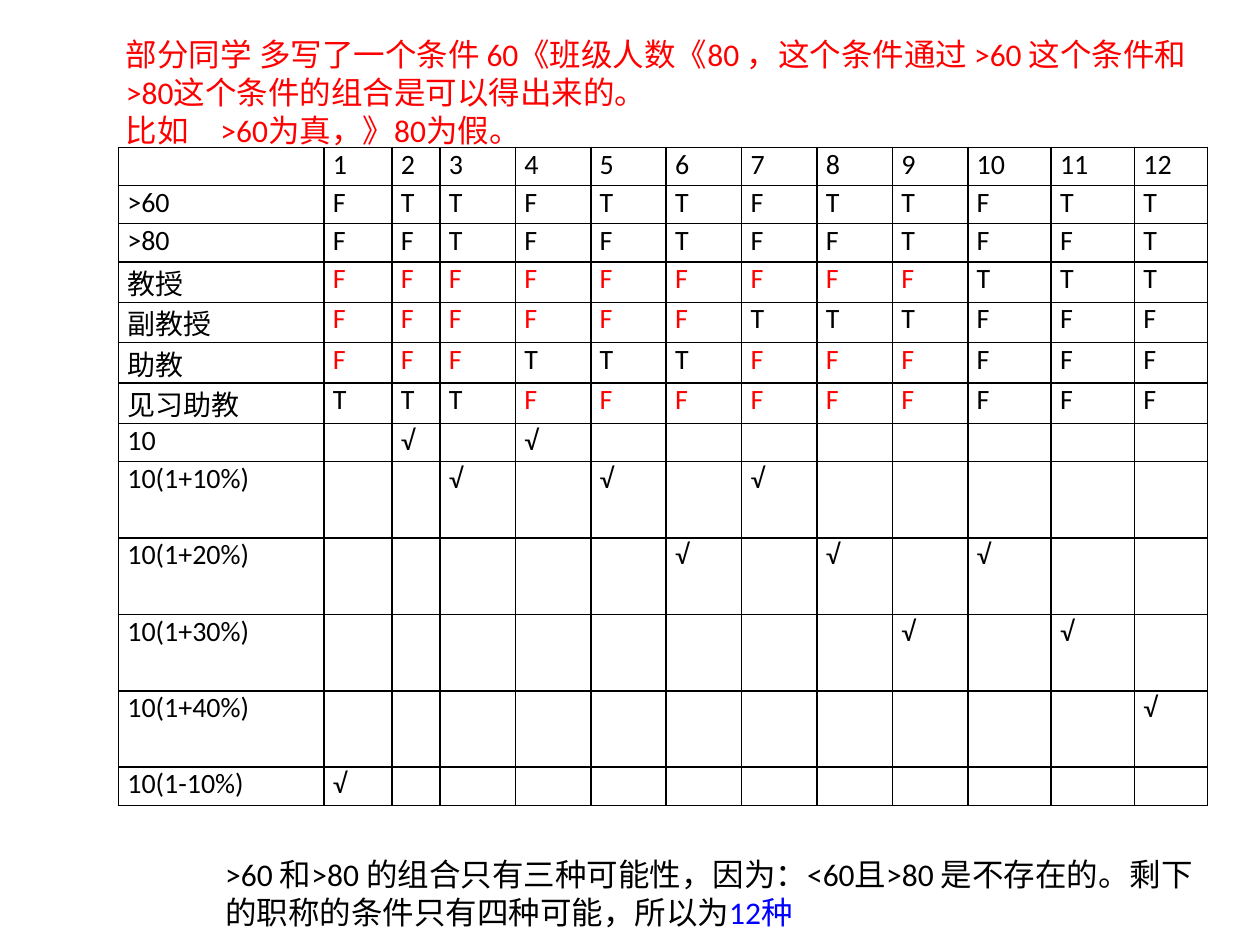
from dataclasses import dataclass

import lxml.etree
import pptx
import pptx.dml.color
import pptx.enum.text
import pptx.oxml.ns
import pptx.util
from pptx.util import Cm

RGB = pptx.dml.color.RGBColor
BLACK = RGB(0x00, 0x00, 0x00)
RED = RGB(0xFF, 0x00, 0x00)
BLUE = RGB(0x00, 0x00, 0xFF)
FONT = "Calibri"
RULES = 12
MARKED_RULES = 9  # exclusive titles are marked red up to this rule
COLUMN_CM = [4.14, 1.37, 0.97] + [1.52] * 7 + [1.68, 1.68, 1.47]
LOW, HIGH = 0.77, 1.54


@dataclass
class Row:
    label: str
    values: list[str]
    height: float = LOW
    marked: bool = False


@dataclass
class Note:
    left: float
    top: float
    width: float
    height: float
    paragraphs: list[list[tuple[str, RGB]]]


def title_row(label: str, group: int) -> Row:
    """Each academic title is true for one group of three rules."""
    values = ["T" if i // 3 == group else "F" for i in range(RULES)]
    return Row(label, values, marked=True)


def action_row(label: str, rules: set[int], height: float = HIGH) -> Row:
    values = ["√" if i in rules else "" for i in range(1, RULES + 1)]
    return Row(label, values, height)


ROWS = [
    Row("", [str(i) for i in range(1, RULES + 1)]),
    Row(">60", list("FTT" * 4)),
    Row(">80", list("FFT" * 4)),
    title_row("教授", 3),
    title_row("副教授", 2),
    title_row("助教", 1),
    title_row("见习助教", 0),
    action_row("10", {2, 4}, LOW),
    action_row("10(1+10%)", {3, 5, 7}),
    action_row("10(1+20%)", {6, 8, 10}),
    action_row("10(1+30%)", {9, 11}),
    action_row("10(1+40%)", {12}),
    action_row("10(1-10%)", {1}, LOW),
]

NOTES = [
    Note(2.29, 0.58, 22.4, 2.57, [
        [("部分同学 多写了一个条件 60《班级人数《80 ，这个条件通过 >60 这个条件"
          "和>80这个条件的组合是可以得出来的。", RED)],
        [("比如　>60为真，》80为假。", RED)],
    ]),
    Note(4.29, 17.12, 20.19, 1.8, [
        [(">60 和>80 的组合只有三种可能性，因为：<60且>80 是不存在的。"
          "剩下的职称的条件只有四种可能，所以为", BLACK),
         ("12种", BLUE)],
    ]),
]


def add_borders(cell) -> None:
    qn = pptx.oxml.ns.qn
    tc_pr = cell._tc.get_or_add_tcPr()
    for side in ("lnL", "lnR", "lnT", "lnB"):
        ln = lxml.etree.SubElement(tc_pr, qn(f"a:{side}"), w=str(pptx.util.Pt(1)))
        fill = lxml.etree.SubElement(ln, qn("a:solidFill"))
        lxml.etree.SubElement(fill, qn("a:srgbClr"), val=str(BLACK))


def fill_cell(cell, text: str, color: RGB) -> None:
    cell.margin_left = cell.margin_right = Cm(0.18)
    cell.margin_top = cell.margin_bottom = 0
    add_borders(cell)
    cell.fill.background()
    p = cell.text_frame.paragraphs[0]
    p.text = text
    p.alignment = pptx.enum.text.PP_ALIGN.JUSTIFY
    p.font.name = FONT
    p.font.size = pptx.util.Pt(16)
    p.font.color.rgb = color


def add_decision_table(s, rows: list[Row]) -> None:
    width, height = sum(COLUMN_CM), sum(row.height for row in rows)
    table = s.shapes.add_table(len(rows), len(COLUMN_CM), Cm(2.39), Cm(2.97),
                               Cm(width), Cm(height)).table
    table.first_row = table.horz_banding = False
    for column, column_width in zip(table.columns, COLUMN_CM):
        column.width = Cm(column_width)
    for r, row in enumerate(rows):
        table.rows[r].height = Cm(row.height)
        for c, text in enumerate([row.label, *row.values]):
            red = row.marked and text == "F" and c <= MARKED_RULES
            fill_cell(table.cell(r, c), text, RED if red else BLACK)


def add_note(s, note: Note) -> None:
    sp = s.shapes.add_textbox(Cm(note.left), Cm(note.top),
                              Cm(note.width), Cm(note.height))
    tf = sp.text_frame
    tf.word_wrap = True
    tf.auto_size = pptx.enum.text.MSO_AUTO_SIZE.SHAPE_TO_FIT_TEXT
    for i, runs in enumerate(note.paragraphs):
        p = tf.add_paragraph() if i else tf.paragraphs[0]
        p.font.name = FONT
        p.font.size = pptx.util.Pt(18)
        for text, color in runs:
            r = p.add_run()
            r.text = text
            r.font.color.rgb = color


def main() -> None:
    prs = pptx.Presentation()
    prs.slide_width, prs.slide_height = Cm(25.4), Cm(19.05)
    s = prs.slides.add_slide(prs.slide_layouts[6])
    add_decision_table(s, ROWS)
    for note in NOTES:
        add_note(s, note)
    prs.save("out.pptx")


if __name__ == "__main__":
    main()
